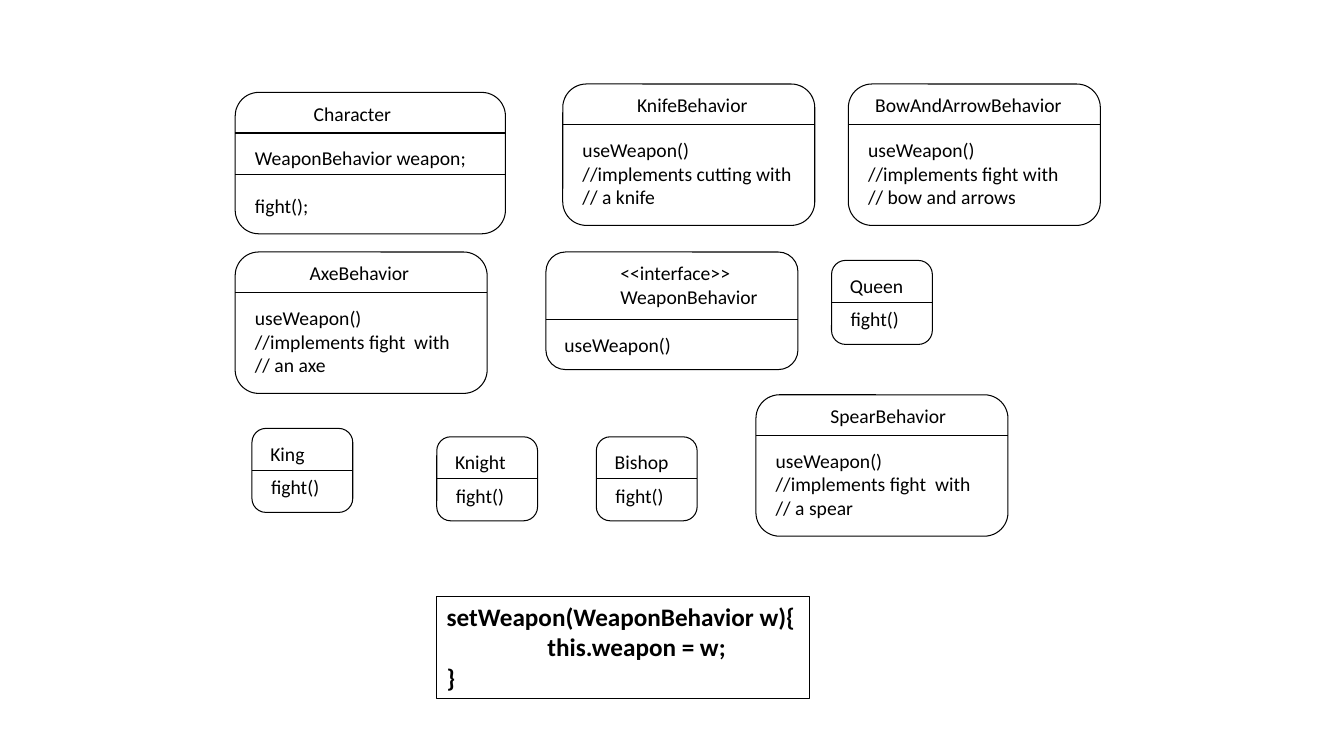
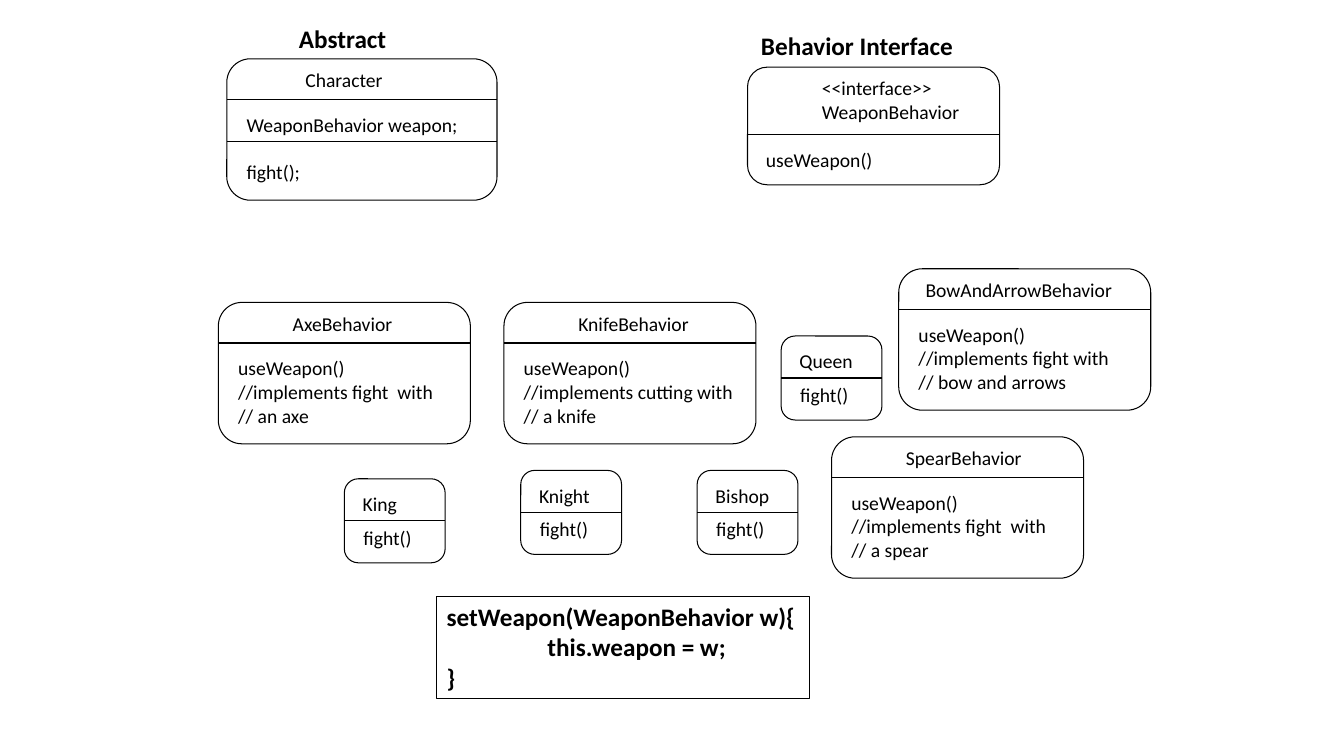
import pptx
import pptx.dml.color
import pptx.enum.shapes
import pptx.enum.text
import pptx.oxml
import pptx.util

Pt = pptx.util.Pt
SHAPE = pptx.enum.shapes.MSO_SHAPE
BLACK = pptx.dml.color.RGBColor(0, 0, 0)
FONT = "Calibri"
THIN = 0.75

# Box kinds: size, rule heights, offsets of head and body
KINDS = {
    "base": dict(size=(193, 101), rules=(29, 59), head=(49, 3), body=(7, 35)),
    "weapon": dict(size=(180, 101), rules=(29,), head=(46, 3), body=(7, 35)),
    "wide": dict(size=(180, 101), rules=(29,), head=(12, 3), body=(7, 35)),
    "face": dict(size=(180, 84), rules=(48,), head=(46, 3), body=(6, 54)),
    "piece": dict(size=(72, 60), rules=(30,), head=(6, 6), body=(6.5, 30)),
}

# Classes: kind, head lines, body lines
USE, FIGHT = "useWeapon()", ["fight()"]
CLASSES = {
    "Character": ("base", ["Character"], ["WeaponBehavior weapon;", "fight();"]),
    "Knife": ("weapon", ["KnifeBehavior"],
              [USE, "//implements cutting with", "// a knife"]),
    "Bow": ("wide", ["BowAndArrowBehavior"],
            [USE, "//implements fight with", "// bow and arrows"]),
    "Axe": ("weapon", ["AxeBehavior"],
            [USE, "//implements fight  with", "// an axe"]),
    "Weapon": ("face", ["<<interface>>", "WeaponBehavior"], [USE]),
    "Queen": ("piece", ["Queen"], FIGHT),
    "King": ("piece", ["King"], FIGHT),
    "Knight": ("piece", ["Knight"], FIGHT),
    "Bishop": ("piece", ["Bishop"], FIGHT),
    "Spear": ("weapon", ["SpearBehavior"],
              [USE, "//implements fight  with", "// a spear"]),
}
SETTER = ["setWeapon(WeaponBehavior w){", "this.weapon = w;", "}"]

# Slides: corner of each class box, then captions
SLIDES = [
    dict(places={
        "Character": (168, 66), "Knife": (402, 60), "Bow": (606, 60),
        "Axe": (168, 180), "Weapon": (390, 180), "Queen": (594, 186),
        "King": (180, 306), "Knight": (312, 312), "Bishop": (426, 312),
        "Spear": (540, 282)},
        notes=[]),
    dict(places={
        "Character": (162, 42), "Knife": (360, 216), "Bow": (642, 192),
        "Axe": (156, 216), "Weapon": (534, 48), "Queen": (558, 240),
        "King": (246, 342), "Knight": (372, 336), "Bishop": (498, 336),
        "Spear": (594, 312)},
        notes=[("Abstract", 206.5, 13), ("Behavior Interface", 536.5, 18)]),
]


def write(frame, lines, size=14, bold=False, gap=0, dent=0):
    """Fill a frame; gap and dent apply to the second line."""
    frame.word_wrap = True
    frame.vertical_anchor = pptx.enum.text.MSO_ANCHOR.TOP
    for i, line in enumerate(lines):
        para = frame.paragraphs[0] if i == 0 else frame.add_paragraph()
        para.alignment = pptx.enum.text.PP_ALIGN.LEFT
        if i == 1 and gap:
            para.space_before = Pt(gap)
        if i == 1 and dent:
            para._p.get_or_add_pPr().set("marL", str(Pt(dent)))
        run = para.add_run()
        run.text = line
        font = run.font
        font.name, font.size, font.bold = FONT, Pt(size), bold
        font.color.rgb = BLACK


def label(shapes, lines, x, y, w, h, **style):
    box = shapes.add_textbox(Pt(x), Pt(y), Pt(w), Pt(h))
    write(box.text_frame, lines, **style)


def outline(shapes, form, x, y, w, h):
    box = shapes.add_shape(form, Pt(x), Pt(y), Pt(w), Pt(h))
    box.shadow.inherit = False
    box.fill.background()
    box.line.color.rgb = BLACK
    box.line.width = Pt(THIN)
    return box


def rule(shapes, x, y, w):
    line = shapes.add_connector(pptx.enum.shapes.MSO_CONNECTOR.STRAIGHT,
                                Pt(x), Pt(y), Pt(x + w), Pt(y))
    line.line.color.rgb = BLACK
    line.line.width = Pt(THIN)
    line._element.spPr.append(pptx.oxml.parse_xml(
        '<a:effectLst xmlns:a='
        '"http://schemas.openxmlformats.org/drawingml/2006/main"/>'))


def card(slide, name, x, y):
    """Draw one class box as a group."""
    kind, head, body = CLASSES[name]
    plan = KINDS[kind]
    w, h = plan["size"]
    shapes = slide.shapes.add_group_shape().shapes
    outline(shapes, SHAPE.ROUNDED_RECTANGLE, x, y, w, h)
    for dy in plan["rules"]:
        rule(shapes, x, y + dy, w)
    dx, dy = plan["head"]
    label(shapes, head, x + dx, y + dy, w - dx, 7 + 17 * len(head))
    dx, dy = plan["body"]
    gap = 17 if kind == "base" else 0
    label(shapes, body, x + dx, y + dy, w - 2 * dx, h - dy - 6, gap=gap)


def main():
    deck = pptx.Presentation()
    deck.slide_width, deck.slide_height = Pt(960), Pt(540)
    for page in SLIDES:
        slide = deck.slides.add_slide(deck.slide_layouts[6])
        for name, (x, y) in page["places"].items():
            card(slide, name, x, y)
        # Setter code
        box = outline(slide.shapes, SHAPE.RECTANGLE, 312, 426, 266, 73)
        write(box.text_frame, SETTER, size=18, bold=True, dent=72)
        # Captions
        for text, x, y in page["notes"]:
            label(slide.shapes, [text], x, y, 160, 29, size=18, bold=True)
    deck.save("out.pptx")


if __name__ == "__main__":
    main()
